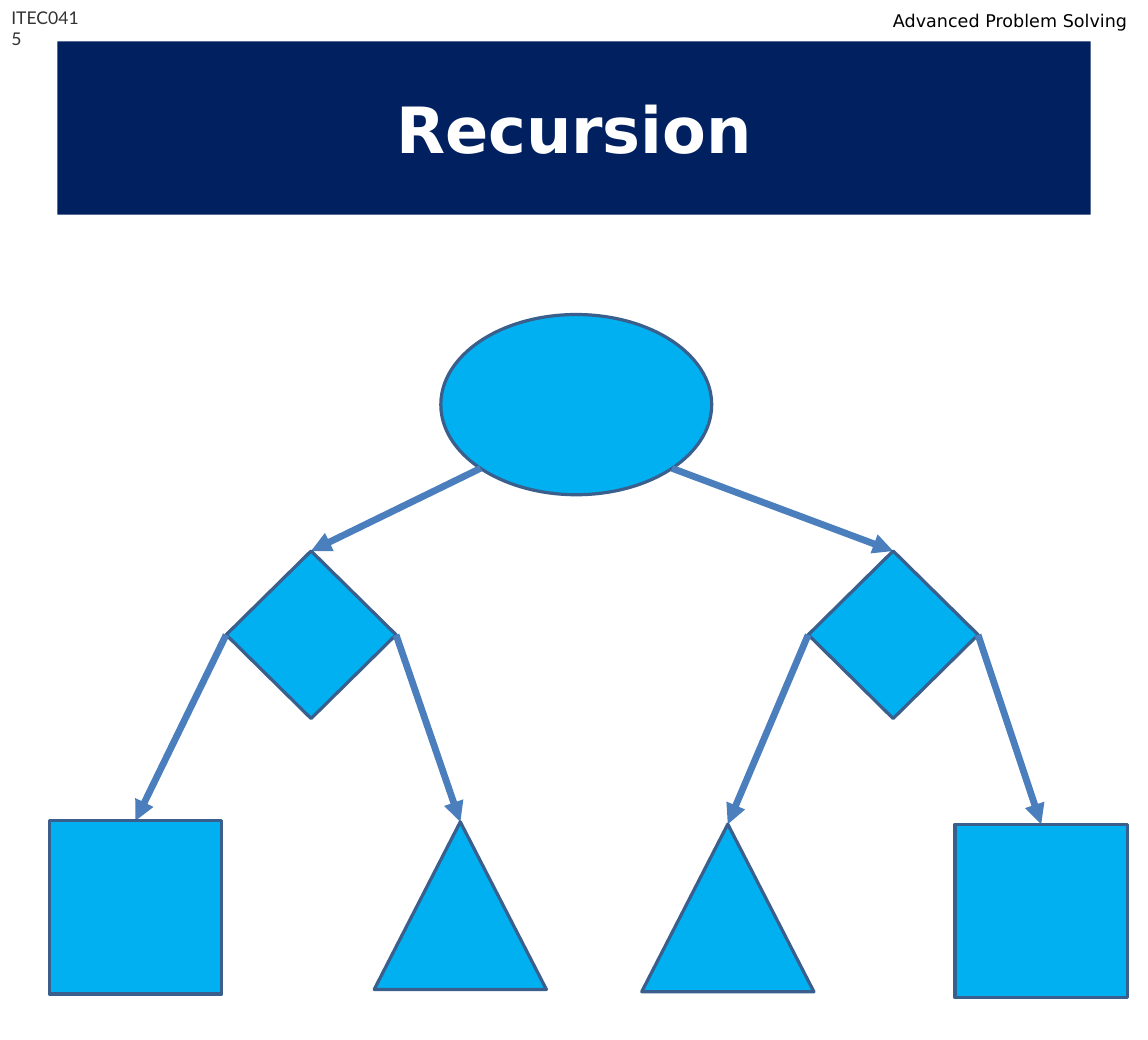
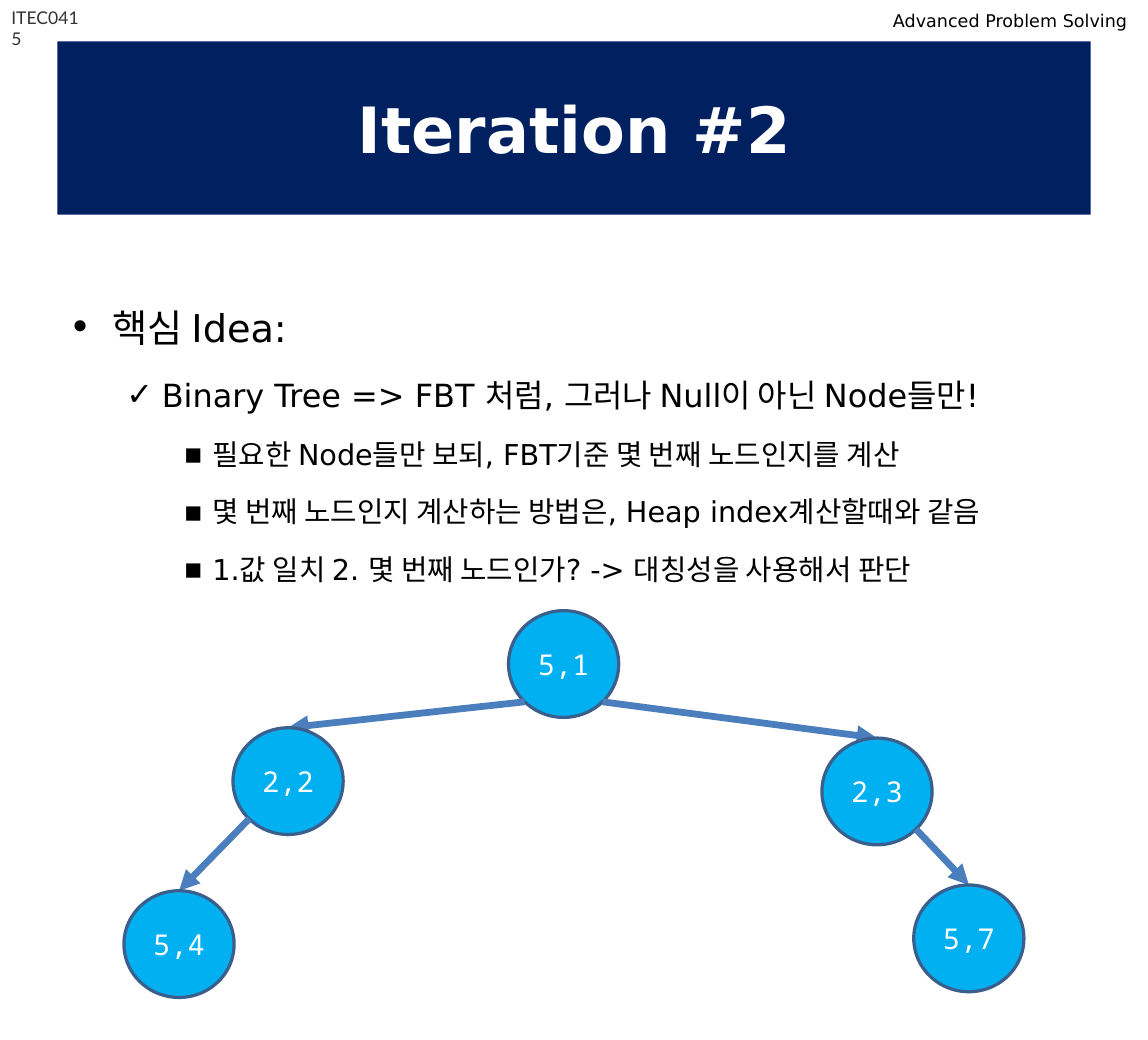
"""Build two slides on comparing trees by recursion and by iteration."""
from math import sqrt

from lxml import etree
from pptx import Presentation
from pptx.dml.color import RGBColor
from pptx.enum.shapes import MSO_CONNECTOR, MSO_SHAPE
from pptx.enum.text import MSO_ANCHOR, MSO_AUTO_SIZE, PP_ALIGN
from pptx.oxml.ns import qn
from pptx.util import Emu, Pt

OVAL, BOX = MSO_SHAPE.OVAL, MSO_SHAPE.RECTANGLE
GEM, CONE = MSO_SHAPE.DIAMOND, MSO_SHAPE.ISOSCELES_TRIANGLE
LINE = MSO_CONNECTOR.STRAIGHT
MID, CENTER = MSO_ANCHOR.MIDDLE, PP_ALIGN.CENTER
FIXED = MSO_AUTO_SIZE.NONE
CONTENT, TITLE = 1, 5
SCALE = 9144

COLORS = {"navy": "002060", "sky": "00B0F0", "edge": "3A5F8C", "arrow": "4B7EBC",
          "white": "FFFFFF", "black": "000000", "gray": "333333"}
SANS = "DejaVu Sans"
HEAD = {"name": SANS, "size": Pt(40), "bold": True}
CODE = {"name": "Lato", "size": Pt(11)}
COURSE = {"name": SANS, "size": Pt(11)}
LABEL = {"name": "Noto Sans Mono", "size": Pt(18)}
LEVELS = [("•", 24, 38, 38), ("✓", 20, 81, 31), ("▪", 18, 125, 25)]

IDEAS = [
    (0, "핵심 Idea:"),
    (1, "Binary Tree => FBT 처럼, 그러나 Null이 아닌 Node들만!"),
    (2, "필요한 Node들만 보되, FBT기준 몇 번째 노드인지를 계산"),
    (2, "몇 번째 노드인지 계산하는 방법은, Heap index계산할때와 같음"),
    (2, "1.값 일치 2. 몇 번째 노드인가? -> 대칭성을 사용해서 판단"),
]

SIZES = {OVAL: (236, 157), GEM: (148, 146), BOX: (150, 151), CONE: (150, 146)}
FORMS = [
    (OVAL, 384, 274, None, ""),
    (GEM, 197, 480, 0, ""), (GEM, 704, 480, 0, ""),
    (BOX, 43, 715, 1, ""), (CONE, 326, 716, 1, ""),
    (CONE, 559, 718, 2, ""), (BOX, 832, 718, 2, ""),
]
DOTS = [
    (OVAL, 443, 532, None, "5,1"),
    (OVAL, 203, 634, 0, "2,2"), (OVAL, 716, 643, 0, "2,3"),
    (OVAL, 108, 776, 1, "5,4"), (OVAL, 796, 771, 2, "5,7"),
]


def px(*nums):
    """Turn px lengths into EMU."""
    return [Emu(round(num * SCALE)) for num in nums]


def rgb(key):
    """Look up a named colour."""
    return RGBColor.from_string(COLORS[key])


def assign(item, values):
    """Set each attribute named in a dict."""
    for key, value in values.items():
        setattr(item, key, value)


def place(shape, *box):
    """Move and size a shape."""
    assign(shape, dict(zip(("left", "top", "width", "height"), px(*box))))


def write(para, text, look, color):
    """Put one styled run in a paragraph."""
    run = para.add_run()
    run.text = text
    assign(run.font, look)
    run.font.color.rgb = rgb(color)


def add_note(slide, text, box, look, color):
    """Add a wrapped line of text above the title."""
    frame = slide.shapes.add_textbox(*px(*box)).text_frame
    frame.word_wrap = True
    write(frame.paragraphs[0], text, look, color)


def add_page(deck, layout, title):
    """Add a slide with its title band and header notes."""
    slide = deck.slides.add_slide(deck.slide_layouts[layout])
    band = slide.shapes.title
    place(band, 50, 36, 900, 151)
    band.fill.solid()
    band.fill.fore_color.rgb = rgb("navy")
    band.text_frame.vertical_anchor = MID
    para = band.text_frame.paragraphs[0]
    para.alignment = CENTER
    write(para, title, HEAD, "white")
    add_note(slide, "ITEC0415", (0, 1, 79, 29), CODE, "gray")
    add_note(slide, "Advanced Problem Solving", (768, 4, 232, 29), COURSE, "black")
    return slide


def add_ideas(slide):
    """Fill the body with bullets on three levels."""
    body = slide.placeholders[1]
    place(body, 50, 240, 900, 598)
    frame = body.text_frame
    frame.auto_size = FIXED
    for num, (level, text) in enumerate(IDEAS):
        para = frame.add_paragraph() if num else frame.paragraphs[0]
        mark, size, left, hang = LEVELS[level]
        assign(para, {"level": level, "line_spacing": 1.5})
        write(para, text, {"name": SANS, "size": Pt(size)}, "black")
        props = para._p.get_or_add_pPr()
        left, hang = px(left, hang)
        props.set("marL", str(left))
        props.set("indent", str(-hang))
        etree.SubElement(props, qn("a:buFont")).set("typeface", SANS)
        etree.SubElement(props, qn("a:buChar")).set("char", mark)


def add_node(slide, kind, box, text):
    """Add one node of a tree."""
    node = slide.shapes.add_shape(kind, *px(*box))
    node.shadow.inherit = False
    node.fill.solid()
    node.fill.fore_color.rgb = rgb("sky")
    node.line.color.rgb = rgb("edge")
    node.line.width = Pt(2)
    if text:
        frame = node.text_frame
        assign(frame, {"vertical_anchor": MID, "margin_left": 0, "margin_right": 0})
        para = frame.paragraphs[0]
        para.alignment = CENTER
        write(para, text, LABEL, "white")
    return node


def add_arrow(slide, start, end):
    """Add an arrow between two points."""
    arrow = slide.shapes.add_connector(LINE, *px(*start, *end))
    arrow.line.color.rgb = rgb("arrow")
    arrow.line.width = Pt(4.25)
    tip = etree.SubElement(arrow.line._get_or_add_ln(), qn("a:tailEnd"))
    tip.set("type", "triangle")
    etree.SubElement(arrow._element.spPr, qn("a:effectLst"))
    return arrow


def find_port(kind, box, goal):
    """Find where an arrow leaves a node on the side of its goal."""
    left, top, wide, high = box
    x, y = left + wide / 2, top + high / 2
    side = 1 if goal > x else -1
    if kind == OVAL:
        return x + side * wide / sqrt(8), y + high / sqrt(8)
    return x + side * wide / 2, y


def add_tree(slide, nodes, sizes):
    """Draw nodes, each joined to its parent by an arrow."""
    spots = []
    for kind, left, top, parent, text in nodes:
        wide, high = sizes[kind]
        box = left, top, wide, high
        arrow = None
        if parent is not None:
            goal = left + wide / 2
            arrow = add_arrow(slide, find_port(*spots[parent], goal), (goal, top))
        node = add_node(slide, kind, box, text)
        if arrow:
            arrow.end_connect(node, 0)
        spots.append((kind, box))


def main():
    """Build and save the deck."""
    deck = Presentation()
    deck.slide_width, deck.slide_height = px(1000, 906)
    add_tree(add_page(deck, TITLE, "Recursion"), FORMS, SIZES)
    slide = add_page(deck, CONTENT, "Iteration #2")
    add_ideas(slide)
    add_tree(slide, DOTS, {OVAL: (96, 93)})
    deck.save("out.pptx")


if __name__ == "__main__":
    main()
